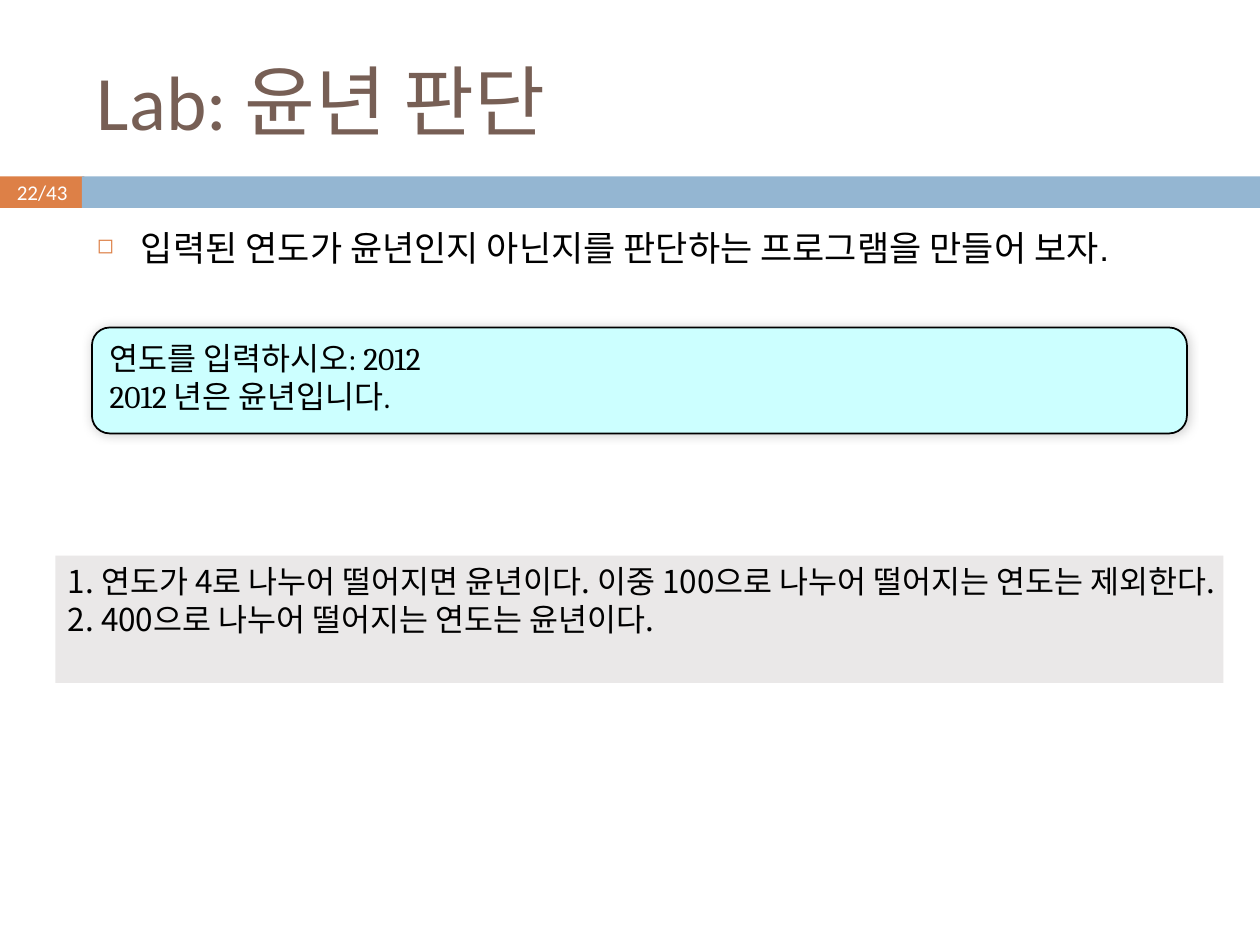
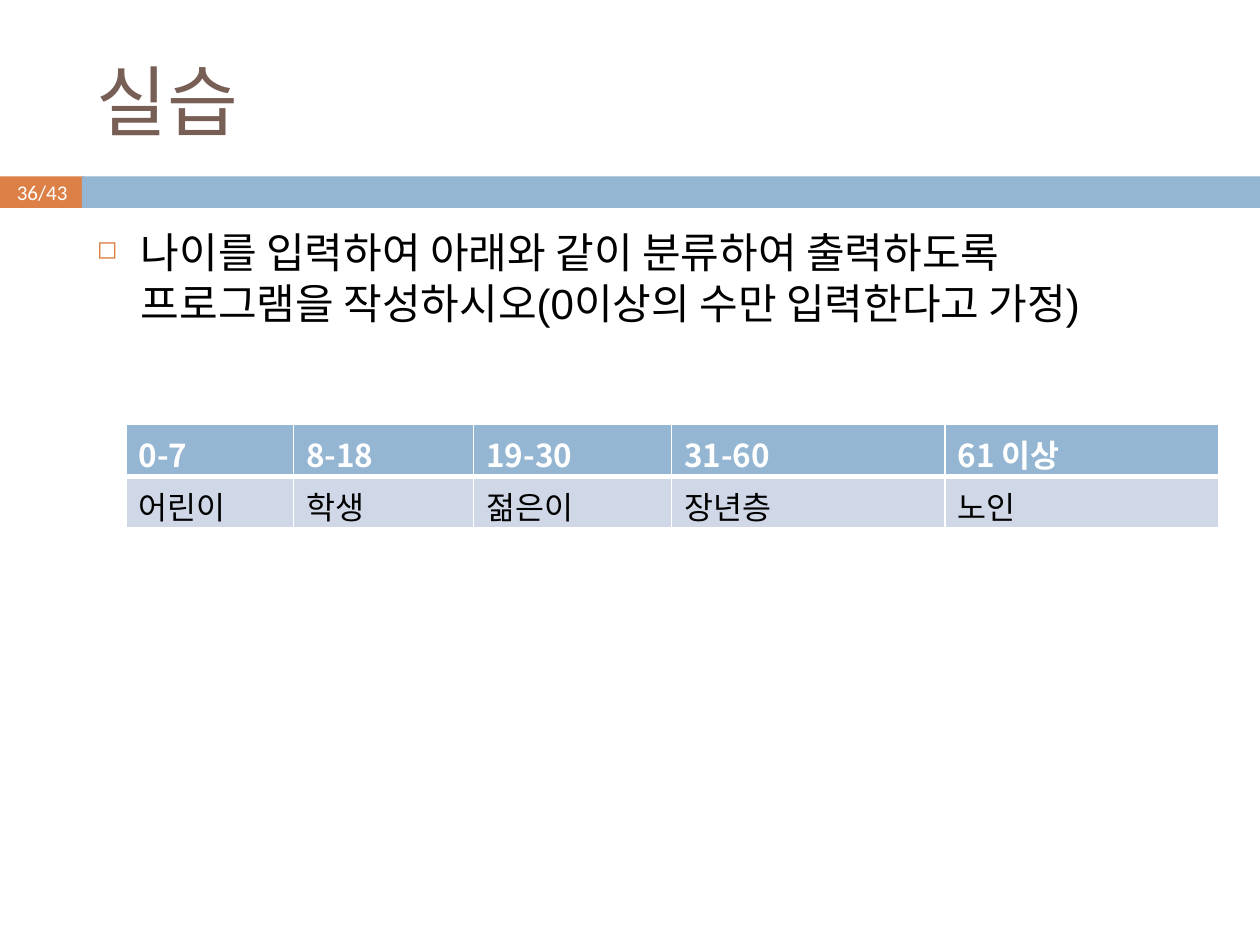
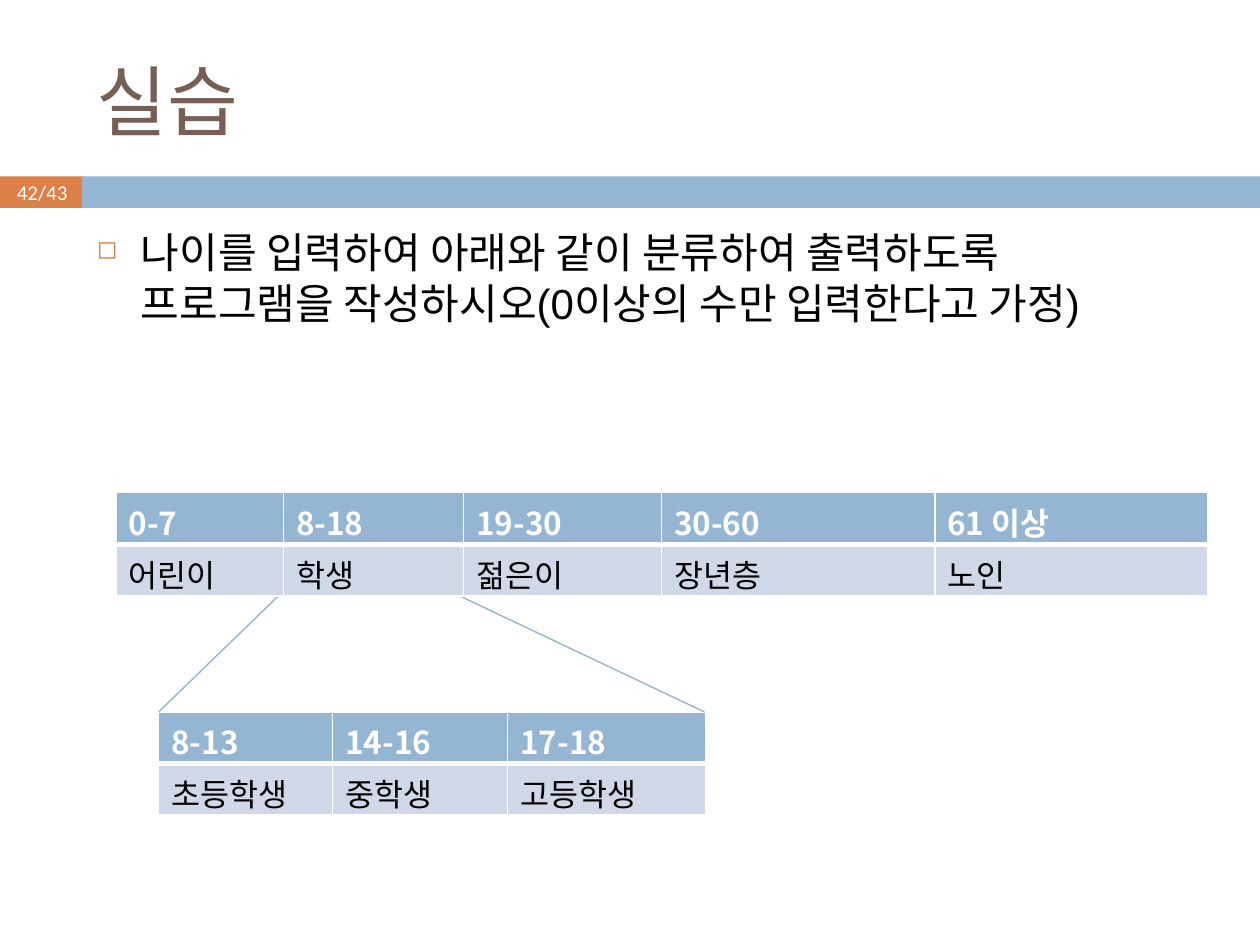
from lxml.etree import SubElement
from pptx import Presentation
from pptx.dml.color import RGBColor
from pptx.enum.shapes import MSO_CONNECTOR, MSO_SHAPE
from pptx.enum.text import MSO_ANCHOR, PP_ALIGN
from pptx.oxml import parse_xml
from pptx.oxml.ns import nsdecls, qn
from pptx.util import Inches, Pt

COLORS = {
    "title": "775F55",
    "accent": "DD8047",
    "band": "94B6D2",
    "row": "D0D8E8",
    "console": "CCFFFF",
    "rules": "EAE8E8",
    "black": "000000",
    "white": "FFFFFF",
}
KOREAN_FONT = "Noto Sans CJK KR"
PAGE_COUNT = 43
AGE_COLUMNS = [1.33, 1.43, 1.57, 2.17, 2.17]
AGE_GROUPS = ["어린이", "학생", "젊은이", "장년층", "노인"]
AGE_TASK = (
    "나이를 입력하여 아래와 같이 분류하여 출력하도록 "
    "프로그램을 작성하시오(0이상의 수만 입력한다고 가정)"
)


def color(name):
    return RGBColor.from_string(COLORS[name])


def write_text(frame, text, font=KOREAN_FONT, size=18, fill="black", bold=False,
               align=PP_ALIGN.LEFT, anchor=MSO_ANCHOR.TOP):
    frame.word_wrap = True
    frame.vertical_anchor = anchor
    for index, line in enumerate(text.split("\n")):
        paragraph = frame.add_paragraph() if index else frame.paragraphs[0]
        paragraph.alignment = align
        run = paragraph.add_run()
        run.text = line
        run.font.name = font
        run.font.size = Pt(size)
        run.font.bold = bold
        run.font.color.rgb = color(fill)
        east_asian = SubElement(run.font._element, qn("a:ea"))
        east_asian.set("typeface", KOREAN_FONT)


class Deck:
    def __init__(self):
        self.presentation = Presentation()
        self.presentation.slide_width = Inches(10)
        self.presentation.slide_height = Inches(7.5)
        self.slide = None

    def start_slide(self, title, page):
        layout = self.presentation.slide_layouts[6]
        self.slide = self.presentation.slides.add_slide(layout)
        number = self.box(0, 1.4, 0.67, 0.25, "accent")
        frame = number.text_frame
        frame.margin_left = frame.margin_right = 0
        frame.margin_top = frame.margin_bottom = 0
        write_text(frame, f"{page}/{PAGE_COUNT}", font="Calibri", size=12,
                   fill="white", align=PP_ALIGN.CENTER, anchor=MSO_ANCHOR.MIDDLE)
        self.box(0.65, 1.4, 9.35, 0.25, "band")
        self.text(0.67, 0.25, 8.92, 1.08, title, font="Calibri", size=44,
                  fill="title", anchor=MSO_ANCHOR.MIDDLE)

    def text(self, left, top, width, height, text, **text_format):
        shape = self.slide.shapes.add_textbox(
            Inches(left), Inches(top), Inches(width), Inches(height))
        write_text(shape.text_frame, text, **text_format)
        return shape

    def bullet(self, text, size):
        shape = self.text(0.67, 1.75, 8.92, 4.92, text, font="Arial", size=size)
        paragraph = shape.text_frame.paragraphs[0]
        paragraph.space_before = Pt(7)
        properties = paragraph._p.get_or_add_pPr()
        properties.set("marL", str(Inches(0.35)))
        properties.set("indent", str(-Inches(0.35)))
        bullet_color = SubElement(properties, qn("a:buClr"))
        SubElement(bullet_color, qn("a:srgbClr")).set("val", COLORS["accent"])
        SubElement(properties, qn("a:buSzPct")).set("val", "60000")
        SubElement(properties, qn("a:buChar")).set("char", "◻")

    def box(self, left, top, width, height, fill, preset=MSO_SHAPE.RECTANGLE):
        shape = self.slide.shapes.add_shape(
            preset, Inches(left), Inches(top), Inches(width), Inches(height))
        shape.shadow.inherit = False
        shape.fill.solid()
        shape.fill.fore_color.rgb = color(fill)
        shape.line.fill.background()
        return shape

    def console(self, left, top, width, height, text):
        shape = self.box(left, top, width, height, "console",
                         MSO_SHAPE.FLOWCHART_ALTERNATE_PROCESS)
        shape.line.color.rgb = color("black")
        shape.line.width = Pt(1)
        effects = shape._element.spPr.find(qn("a:effectLst"))
        effects.append(parse_xml(
            f'<a:outerShdw {nsdecls("a")} blurRad="{Pt(6)}" dist="0" dir="18900000">'
            f'<a:srgbClr val="{COLORS["black"]}"><a:alpha val="20000"/></a:srgbClr>'
            '</a:outerShdw>'))
        write_text(shape.text_frame, text, font="Cambria")

    def line(self, start, end):
        points = [Inches(value) for value in (*start, *end)]
        connector = self.slide.shapes.add_connector(MSO_CONNECTOR.STRAIGHT, *points)
        connector.line.color.rgb = color("band")
        connector.line.width = Pt(0.79)
        SubElement(connector._element.spPr, qn("a:effectLst"))

    def table(self, left, top, columns, rows):
        table = self.slide.shapes.add_table(
            len(rows), len(columns), Inches(left), Inches(top),
            Inches(sum(columns)), Inches(0.41 * len(rows))).table
        table.horz_banding = False
        for column, width in zip(table.columns, columns):
            column.width = Inches(width)
        for row_index, labels in enumerate(rows):
            header = row_index == 0
            for column_index, label in enumerate(labels):
                cell = table.cell(row_index, column_index)
                self.cell_borders(cell, top=1 if header else 3, bottom=3 if header else 1)
                cell.fill.solid()
                cell.fill.fore_color.rgb = color("band" if header else "row")
                write_text(cell.text_frame, label, bold=header,
                           fill="white" if header else "black")

    def cell_borders(self, cell, top, bottom):
        properties = cell._tc.get_or_add_tcPr()
        for side, width in (("L", 1), ("R", 1), ("T", top), ("B", bottom)):
            border = SubElement(properties, qn(f"a:ln{side}"), w=str(Pt(width)))
            fill = SubElement(border, qn("a:solidFill"))
            SubElement(fill, qn("a:srgbClr")).set("val", COLORS["white"])


def build_leap_year(deck):
    deck.start_slide("Lab: 윤년 판단", 22)
    deck.bullet("입력된 연도가 윤년인지 아닌지를 판단하는 프로그램을 만들어 보자.", 20)
    deck.console(0.73, 2.6, 8.69, 0.84,
                 "연도를 입력하시오: 2012\n2012 년은 윤년입니다.")
    rules = deck.box(0.44, 4.41, 9.27, 1.01, "rules")
    write_text(rules.text_frame,
               "1. 연도가 4로 나누어 떨어지면 윤년이다. "
               "이중 100으로 나누어 떨어지는 연도는 제외한다.\n"
               "2. 400으로 나누어 떨어지는 연도는 윤년이다.")


def build_age_groups(deck):
    deck.start_slide("실습", 36)
    deck.bullet(AGE_TASK, 24)
    deck.table(1, 3.37, AGE_COLUMNS,
               [["0-7", "8-18", "19-30", "31-60", "61 이상"], AGE_GROUPS])


def build_student_groups(deck):
    deck.start_slide("실습", 42)
    deck.bullet(AGE_TASK, 24)
    deck.table(1.26, 5.65, [1.38, 1.39, 1.57],
               [["8-13", "14-16", "17-18"], ["초등학생", "중학생", "고등학생"]])
    deck.line((1.26, 5.65), (2.22, 4.72))
    deck.line((3.67, 4.74), (5.59, 5.65))
    deck.table(0.92, 3.91, AGE_COLUMNS,
               [["0-7", "8-18", "19-30", "30-60", "61 이상"], AGE_GROUPS])


def main():
    deck = Deck()
    build_leap_year(deck)
    build_age_groups(deck)
    build_student_groups(deck)
    deck.presentation.save("out.pptx")


if __name__ == "__main__":
    main()
